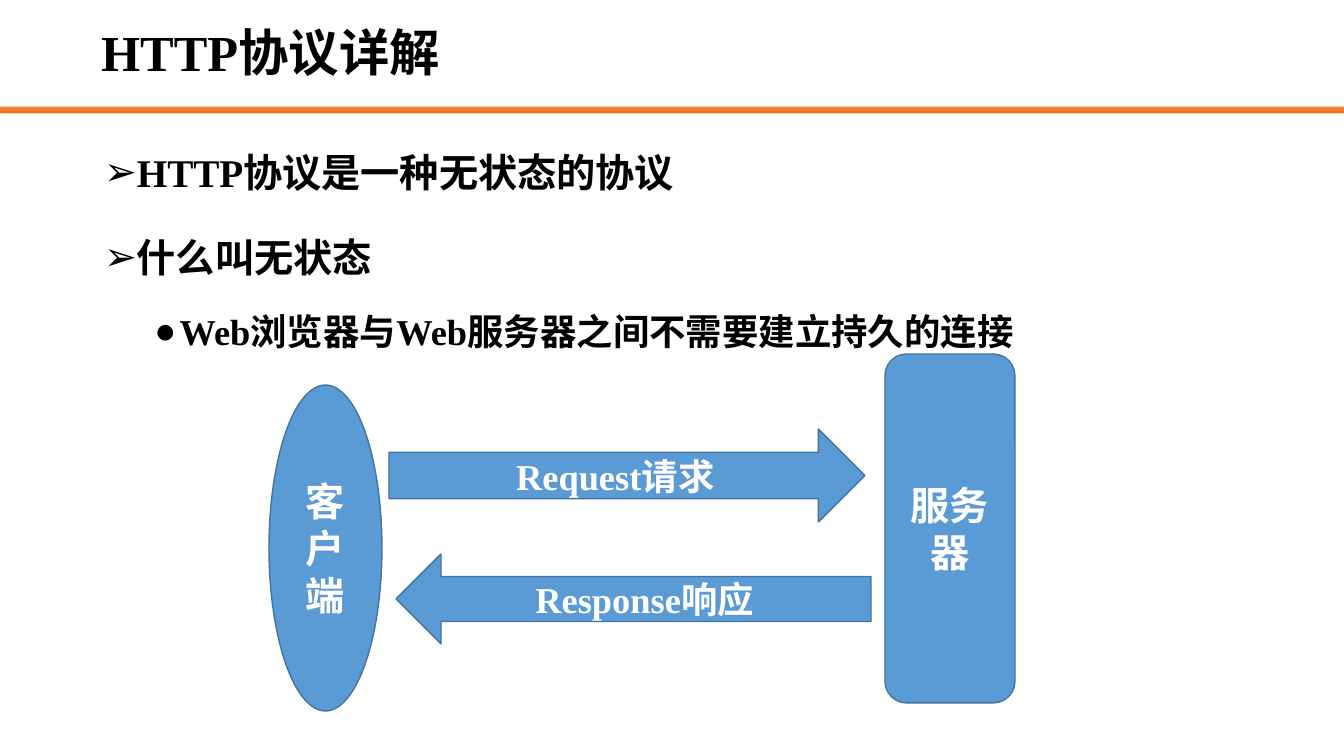
from copy import deepcopy

from lxml import etree
from pptx import Presentation
from pptx.dml.color import RGBColor
from pptx.enum.shapes import MSO_SHAPE
from pptx.enum.text import MSO_ANCHOR, MSO_AUTO_SIZE, PP_ALIGN
from pptx.oxml.ns import qn
from pptx.util import Emu, Inches, Pt

LEFT, CENTER = PP_ALIGN.LEFT, PP_ALIGN.CENTER
MIDDLE, TOP = MSO_ANCHOR.MIDDLE, MSO_ANCHOR.TOP
NO_FIT = MSO_AUTO_SIZE.NONE
ROUNDED, OVAL = MSO_SHAPE.ROUNDED_RECTANGLE, MSO_SHAPE.OVAL
RIGHT_ARROW, LEFT_ARROW = MSO_SHAPE.RIGHT_ARROW, MSO_SHAPE.LEFT_ARROW

FONT = "Times New Roman"
BLACK, WHITE = "000000", "FFFFFF"
BLUE, DARK_BLUE, ORANGE = "5B9BD5", "43739E", "ED7D31"
RULE_STOPS = [(0, "F18C57"), (0.5, "F67B28"), (1, "E56C19")]

SLIDE_SIZE = (1344, 756)
RULE_BOX = (0, 107, 1344, 6)
TITLE = "HTTP协议详解"
TITLE_BOX = (91, 6, 1159, 99)
BODY_BOX = (94, 120, 1159, 543)
POINTS = [
    (0, "HTTP协议是一种无状态的协议"),
    (0, "什么叫无状态"),
    (1, "Web浏览器与Web服务器之间不需要建立持久的连接"),
]
LEVELS = [
    {"size": 28, "before": 10, "bullet": "➢", "margin": 0.25},
    {"size": 26, "before": 5, "bullet": "●", "margin": 0.75},
]
DIAGRAM = [
    (OVAL, (269, 385, 113, 326), "客户端", 28),
    (ROUNDED, (885, 354, 130, 349), "服务器", 28),
    (RIGHT_ARROW, (389, 429, 476, 93), "Request请求", 26),
    (LEFT_ARROW, (396, 554, 475, 90), "Response响应", 26),
]


def px(length):
    """Turn pixels into EMU."""
    return Emu(round(length * 914400 / 100.8))


def rgb(color):
    """Turn a hex string into a colour."""
    return RGBColor.from_string(color)


def place(part, box):
    """Move and size a part to a pixel box."""
    part.left, part.top, part.width, part.height = map(px, box)


def write(paragraph, text, size, color=BLACK, align=LEFT, spacing=1.0, before=0):
    """Write bold text into a paragraph with the given format."""
    paragraph.alignment = align
    paragraph.line_spacing = spacing
    paragraph.space_before = Pt(before)
    run = paragraph.add_run()
    run.text = text
    run.font.name = FONT
    run.font.size = Pt(size)
    run.font.bold = True
    run.font.color.rgb = rgb(color)


def add_bullet(paragraph, bullet, margin):
    """Give a paragraph a bullet and a hanging indent."""
    properties = paragraph._p.get_or_add_pPr()
    properties.set("marL", str(Inches(margin)))
    properties.set("indent", str(Inches(-0.25)))
    etree.SubElement(properties, qn("a:buChar")).set("char", bullet)


def add_outlined(slide, kind, box, line, width):
    """Add a preset shape with an outline and no shadow."""
    shape = slide.shapes.add_shape(kind, *map(px, box))
    shape.shadow.inherit = False
    shape.line.color.rgb = rgb(line)
    shape.line.width = Pt(width)
    return shape


def add_rule(slide):
    """Add the orange gradient bar under the title."""
    rule = add_outlined(slide, ROUNDED, RULE_BOX, ORANGE, 0.5)
    rule.fill.gradient()
    rule.fill.gradient_angle = 270
    first_stop = rule._element.spPr.find(".//" + qn("a:gs"))
    first_stop.addnext(deepcopy(first_stop))
    for stop, (position, color) in zip(rule.fill.gradient_stops, RULE_STOPS):
        stop.position = position
        stop.color.rgb = rgb(color)


def add_headings(slide):
    """Fill the title and body placeholders."""
    title, body = slide.placeholders
    for holder, box, anchor in ((title, TITLE_BOX, MIDDLE), (body, BODY_BOX, TOP)):
        place(holder, box)
        holder.text_frame.auto_size = NO_FIT
        holder.text_frame.vertical_anchor = anchor
    write(title.text_frame.paragraphs[0], TITLE, 36, spacing=0.9)
    for index, (level, text) in enumerate(POINTS):
        frame = body.text_frame
        paragraph = frame.add_paragraph() if index else frame.paragraphs[0]
        style = LEVELS[level]
        paragraph.level = level
        write(paragraph, text, style["size"], spacing=1.5, before=style["before"])
        add_bullet(paragraph, style["bullet"], style["margin"])


def add_diagram(slide):
    """Add the client, the server and the arrows between them."""
    for kind, box, label, size in DIAGRAM:
        node = add_outlined(slide, kind, box, DARK_BLUE, 1)
        node.fill.solid()
        node.fill.fore_color.rgb = rgb(BLUE)
        node.text_frame.word_wrap = True
        node.text_frame.vertical_anchor = MIDDLE
        write(node.text_frame.paragraphs[0], label, size, color=WHITE, align=CENTER)


def main():
    """Build the slide and save it."""
    deck = Presentation()
    deck.slide_width, deck.slide_height = map(px, SLIDE_SIZE)
    slide = deck.slides.add_slide(deck.slide_layouts[1])
    add_rule(slide)
    add_headings(slide)
    add_diagram(slide)
    deck.save("out.pptx")


if __name__ == "__main__":
    main()
